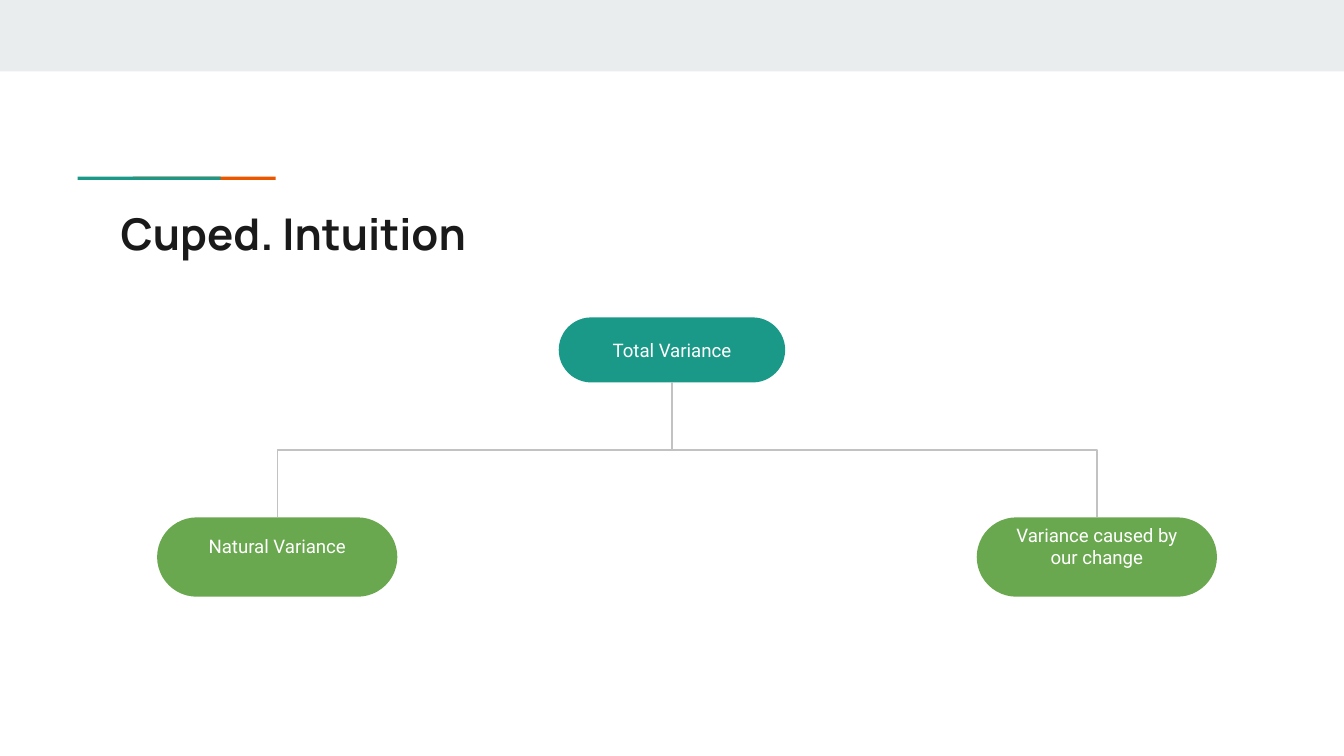
from pptx import Presentation
from pptx import util as u
from pptx.dml.color import RGBColor
from pptx.enum import shapes, text
from pptx.oxml.ns import qn
from lxml import etree

BAND = RGBColor(0xE9, 0xED, 0xEE)
TEAL = RGBColor(0x1A, 0x99, 0x88)
ORANGE = RGBColor(0xEB, 0x56, 0x00)
GREEN = RGBColor(0x6A, 0xA8, 0x4F)
INK = RGBColor(0x1A, 0x1A, 0x1A)
WHITE = RGBColor(0xFF, 0xFF, 0xFF)
GREY = RGBColor(0xC2, 0xC2, 0xC2)

INSET = u.Cm(0.25)


def style_runs(paragraph, font_name, size, color, bold=False):
    for run in paragraph.runs:
        run.font.name = font_name
        run.font.size = u.Pt(size)
        run.font.bold = bold
        run.font.color.rgb = color


def add_block(slide, kind, left, top, width, height, color):
    """Add a filled shape without outline; lengths in centimetres."""
    shape = slide.shapes.add_shape(
        kind, u.Cm(left), u.Cm(top), u.Cm(width), u.Cm(height))
    shape.shadow.inherit = False
    shape.fill.solid()
    shape.fill.fore_color.rgb = color
    shape.line.fill.background()
    return shape


def add_title(slide, wording):
    box = slide.shapes.add_textbox(u.Cm(2.03), u.Cm(3.66), u.Cm(21.36), u.Cm(1.5))
    frame = box.text_frame
    frame.word_wrap = True
    frame.margin_left = frame.margin_right = INSET
    frame.margin_top = frame.margin_bottom = INSET
    frame.text = wording
    style_runs(frame.paragraphs[0], "Manrope", 23.4, INK, bold=True)


def add_node(slide, wording, left, top, width, height, color,
             margin_top=0.25, margin_bottom=0.25):
    node = add_block(slide, shapes.MSO_SHAPE.ROUNDED_RECTANGLE,
                     left, top, width, height, color)
    node.adjustments[0] = 0.5
    frame = node.text_frame
    frame.word_wrap = True
    frame.vertical_anchor = text.MSO_ANCHOR.MIDDLE
    frame.margin_left = frame.margin_right = INSET
    frame.margin_top = u.Cm(margin_top)
    frame.margin_bottom = u.Cm(margin_bottom)
    frame.text = wording
    paragraph = frame.paragraphs[0]
    paragraph.alignment = text.PP_ALIGN.CENTER
    style_runs(paragraph, "Roboto", 10, WHITE)
    return node


def add_branch(slide, parent, child):
    """Join a parent's bottom to a child's top by a line that leaves downwards."""
    start_x = parent.left + parent.width // 2
    start_y = parent.top + parent.height
    end_x = child.left + child.width // 2
    connector = slide.shapes.add_connector(
        shapes.MSO_CONNECTOR.ELBOW, start_x, start_y, end_x, child.top)
    connector.begin_connect(parent, 2)
    connector.end_connect(child, 0)
    connector.line.color.rgb = GREY
    connector.line.width = u.Pt(0.75)

    # Turn the elbow so that its first leg is vertical
    drop, spread = child.top - start_y, abs(end_x - start_x)
    connector.width, connector.height = drop, spread
    connector.left = (start_x + end_x - drop) // 2
    connector.top = (start_y + child.top - spread) // 2
    properties = connector._element.spPr
    transform = properties.find(qn("a:xfrm"))
    to_right = end_x > start_x
    transform.set("rot", str((270 if to_right else 90) * 60000))
    transform.set("flipH", "1" if to_right else "0")
    transform.set("flipV", "0")
    etree.SubElement(properties, qn("a:effectLst"))


def main():
    presentation = Presentation()
    presentation.slide_width = u.Cm(25.4)
    presentation.slide_height = u.Cm(14.29)
    slide = presentation.slides.add_slide(presentation.slide_layouts[6])

    # Top band and two-colour accent, teal overlapping orange
    rectangle = shapes.MSO_SHAPE.RECTANGLE
    add_block(slide, rectangle, 0, 0, 25.4, 1.35, BAND)
    for left, color in ((2.51, ORANGE), (1.47, TEAL)):
        add_block(slide, rectangle, left, 3.34, 2.7, 0.06, color)

    add_title(slide, "Cuped. Intuition")

    # Variance tree; the children's text sits above their middle
    total = add_node(slide, "Total Variance", 10.56, 6, 4.28, 1.23, TEAL)
    children = [
        add_node(slide, wording, left, 9.78, 4.54, 1.5, GREEN,
                 margin_top=0, margin_bottom=0.41)
        for wording, left in (("Variance caused by our change", 18.46),
                              ("Natural Variance", 2.97))
    ]
    for child in children:
        add_branch(slide, total, child)

    presentation.save("out.pptx")


if __name__ == "__main__":
    main()
